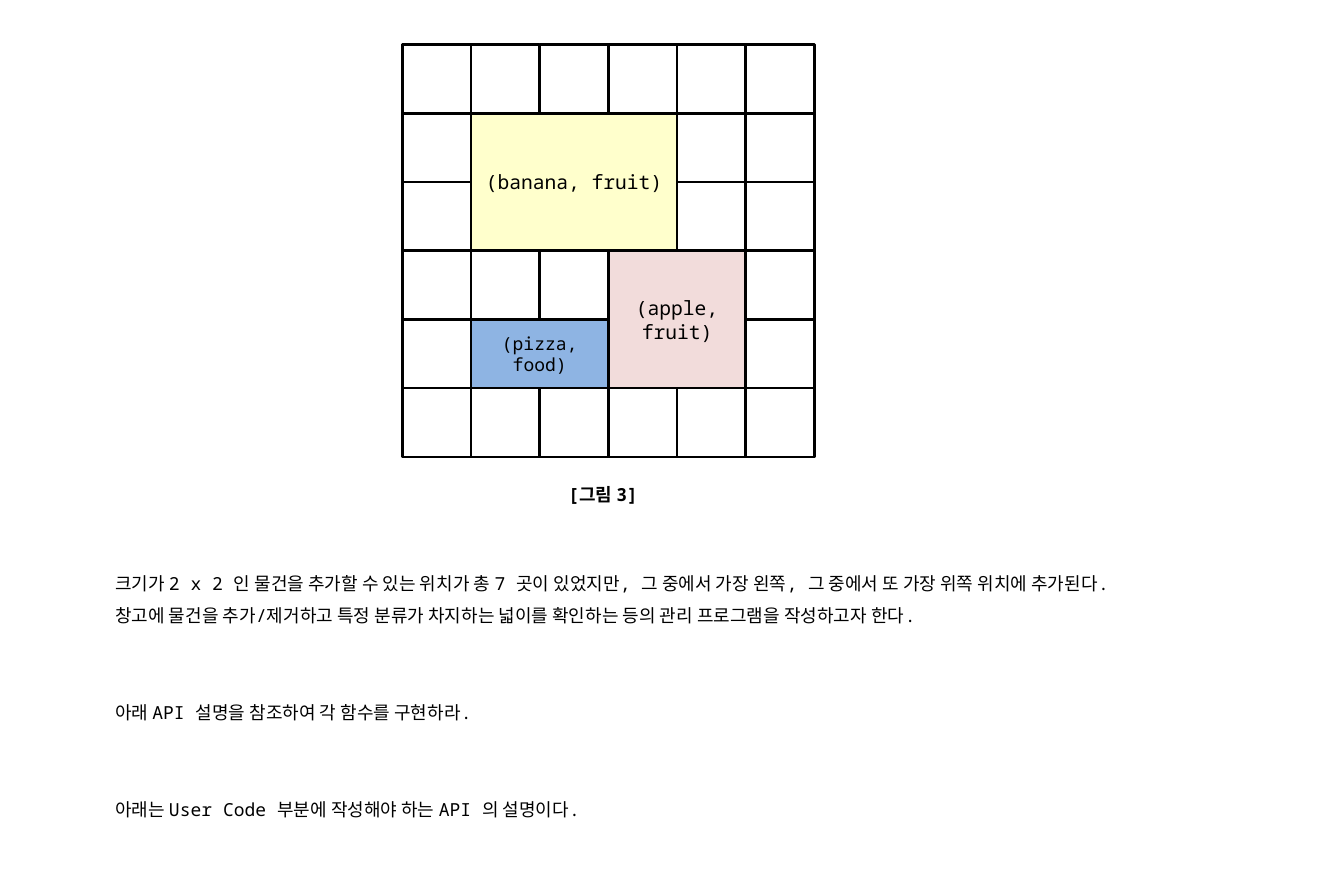
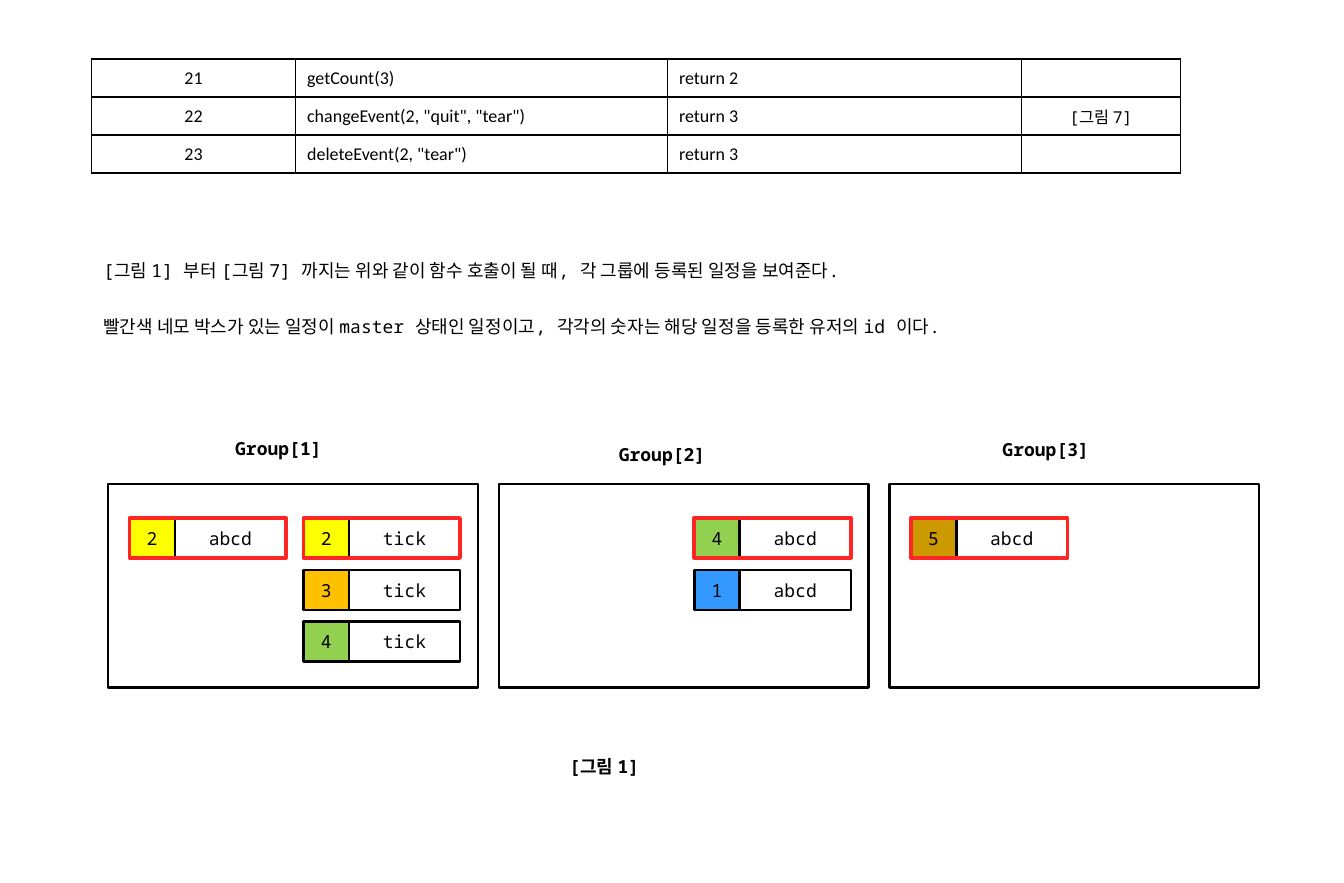
from collections import namedtuple
from lxml.etree import SubElement
from pptx import Presentation
from pptx.dml.color import RGBColor
from pptx.enum.shapes import MSO_SHAPE
from pptx.enum.text import MSO_ANCHOR as Anchor, PP_ALIGN as Align
from pptx.oxml.ns import qn
from pptx.util import Inches, Pt

Box = namedtuple("Box", "left top width height")

MONO, SANS = "Noto Sans Mono", "Calibri"
BLACK, WHITE, RED = "000000", "FFFFFF", "FF2525"
YELLOW, AMBER, GREEN, BLUE, OCHRE = "FFFF00", "FFC000", "92D050", "3399FF", "CC9900"
WIDTH, HEIGHT = 11.42, 7.5


def color(value):
    return RGBColor.from_string(value)


def inches(box):
    return [Inches(length) for length in box]


def write(frame, text, size=11, font=MONO, bold=False, align=Align.LEFT,
          spacing=1, gaps=(0,)):
    """Write one paragraph per line of text, with gaps as points before each."""
    for index, (line, gap) in enumerate(zip(text.split("\n"), gaps)):
        para = frame.add_paragraph() if index else frame.paragraphs[0]
        para.alignment = align
        para.line_spacing = spacing
        para.space_before = Pt(gap)
        if not line:
            SubElement(para._p, qn("a:endParaRPr"), sz=str(size * 100))
            continue
        span = para.add_run()
        span.text = line
        span.font.size = Pt(size)
        span.font.name = font
        span.font.bold = bold
        span.font.color.rgb = color(BLACK)


def add_text(page, box, text, **style):
    frame = page.shapes.add_textbox(*inches(box)).text_frame
    frame.word_wrap = True
    write(frame, text, **style)


def add_rect(page, box, fill=None, line=BLACK, weight=1.5, text="", size=11):
    shape = page.shapes.add_shape(MSO_SHAPE.RECTANGLE, *inches(box))
    shape.shadow.inherit = False
    if fill:
        shape.fill.solid()
        shape.fill.fore_color.rgb = color(fill)
    else:
        shape.fill.background()
    shape.line.color.rgb = color(line)
    shape.line.width = Pt(weight)
    if text:
        frame = shape.text_frame
        frame.word_wrap = True
        frame.vertical_anchor = Anchor.MIDDLE
        frame.margin_left = frame.margin_right = Inches(0.04)
        write(frame, text, size=size, align=Align.CENTER)


def add_caption(page, box, text):
    add_text(page, box, text, bold=True, spacing=1.3)


def add_storehouse(page, box, count, items):
    """Draw a square grid of cells and the items that cover some of them."""
    step = box.width / count

    def area(column, row, columns=1, rows=1):
        return Box(box.left + column * step, box.top + row * step,
                   columns * step, rows * step)

    for row in range(count):
        for column in range(count):
            add_rect(page, area(column, row))
    for text, place, fill, size in items:
        add_rect(page, area(*place), fill=fill, text=text, size=size)


def add_calls(page, box, shares, rows):
    """Draw the table of calls; shares are the column widths."""
    table = page.shapes.add_table(len(rows), len(shares), *inches(box)).table
    table.first_row = table.horz_banding = False
    for column, share in zip(table.columns, shares):
        column.width = Inches(box.width * share / sum(shares))
    last = len(shares) - 1
    for row, texts in zip(table.rows, rows):
        row.height = Inches(box.height / len(rows))
        for index, (cell, text) in enumerate(zip(row.cells, texts)):
            cell.vertical_anchor = Anchor.MIDDLE
            font, size = (MONO, 10) if index == last else (SANS, 11)
            write(cell.text_frame, text, font=font, size=size,
                  align=Align.CENTER if index in (0, last) else Align.LEFT)
            add_borders(cell)
            cell.fill.background()


def add_borders(cell):
    properties = cell._tc.get_or_add_tcPr()
    for side in ("lnL", "lnR", "lnT", "lnB"):
        line = SubElement(properties, qn(f"a:{side}"), w=str(Pt(1)))
        SubElement(SubElement(line, qn("a:solidFill")), qn("a:srgbClr"), val=BLACK)


def add_entry(page, box, user, event, fill, master):
    """Draw one event: user id, name, and a red frame for the master."""
    id_width = box.width * 0.29
    add_rect(page, box._replace(width=id_width), fill=fill, text=user)
    add_rect(page, box._replace(left=box.left + id_width, width=box.width - id_width),
             fill=WHITE, text=event)
    if master:
        add_rect(page, box, line=RED, weight=2.25)


def add_group(page, box, entries):
    """Draw a group frame with its events on a grid of columns and rows."""
    add_rect(page, box)
    for column, row, *entry in entries:
        place = Box(box.left + 0.18 + column * 1.48, box.top + 0.29 + row * 0.44,
                    1.33, 0.34)
        add_entry(page, place, *entry)


def build_storehouse_page(page):
    items = [
        ("(banana, fruit)", (1, 1, 3, 2), "FFFFCC", 12),
        ("(pizza, food)", (1, 4, 2, 1), "8EB4E3", 11),
        ("(apple, fruit)", (3, 3, 2, 2), "F2DCDB", 12),
    ]
    add_storehouse(page, Box(3.42, 0.38, 3.5, 3.5), 6, items)
    add_caption(page, Box(4.73, 4, 1.13, 0.32), "[그림 3]")
    add_text(
        page, Box(0.88, 4.72, 9.99, 2.29),
        "크기가 2 x 2 인 물건을 추가할 수 있는 위치가 총 7 곳이 있었지만, "
        "그 중에서 가장 왼쪽, 그 중에서 또 가장 위쪽 위치에 추가된다.\n"
        "창고에 물건을 추가/제거하고 특정 분류가 차지하는 넓이를 확인하는 등의 "
        "관리 프로그램을 작성하고자 한다.\n"
        "아래 API 설명을 참조하여 각 함수를 구현하라.\n"
        "아래는 User Code 부분에 작성해야 하는 API 의 설명이다.",
        spacing=1.5, gaps=(0, 0, 39.5, 39.5))


def build_schedule_page(page):
    calls = [
        ("21", "getCount(3)", "return 2", ""),
        ("22", 'changeEvent(2, "quit", "tear")', "return 3", "[그림 7]"),
        ("23", 'deleteEvent(2, "tear")', "return 3", ""),
    ]
    add_calls(page, Box(0.78, 0.5, 9.25, 0.97), (1.73, 3.16, 3.01, 1.35), calls)
    add_text(
        page, Box(0.78, 2.1, 9.05, 0.8),
        "[그림 1] 부터 [그림 7] 까지는 위와 같이 함수 호출이 될 때, "
        "각 그룹에 등록된 일정을 보여준다.\n"
        "빨간색 네모 박스가 있는 일정이 master 상태인 일정이고, "
        "각각의 숫자는 해당 일정을 등록한 유저의 id 이다.",
        spacing=1.3, gaps=(0, 17))

    # Groups: label top, then events as column, row, user, name, fill, master
    groups = [
        (3.61, [(0, 0, "2", "abcd", YELLOW, True),
                (1, 0, "2", "tick", YELLOW, True),
                (1, 1, "3", "tick", AMBER, False),
                (1, 2, "4", "tick", GREEN, False)]),
        (3.66, [(1, 0, "4", "abcd", GREEN, True),
                (1, 1, "1", "abcd", BLUE, False)]),
        (3.62, [(0, 0, "5", "abcd", OCHRE, True)]),
    ]
    for index, (label_top, entries) in enumerate(groups):
        add_caption(page, Box(1.9 + index * 3.26, label_top, 1.36, 0.32),
                    f"Group[{index + 1}]")
        add_group(page, Box(0.92 + index * 3.32, 4.11, 3.14, 1.73), entries)
    add_caption(page, Box(4.74, 6.31, 1.13, 0.32), "[그림 1]")


def main():
    deck = Presentation()
    deck.slide_width, deck.slide_height = Inches(WIDTH), Inches(HEIGHT)
    for build in (build_storehouse_page, build_schedule_page):
        build(deck.slides.add_slide(deck.slide_layouts[6]))
    deck.save("out.pptx")


if __name__ == "__main__":
    main()
